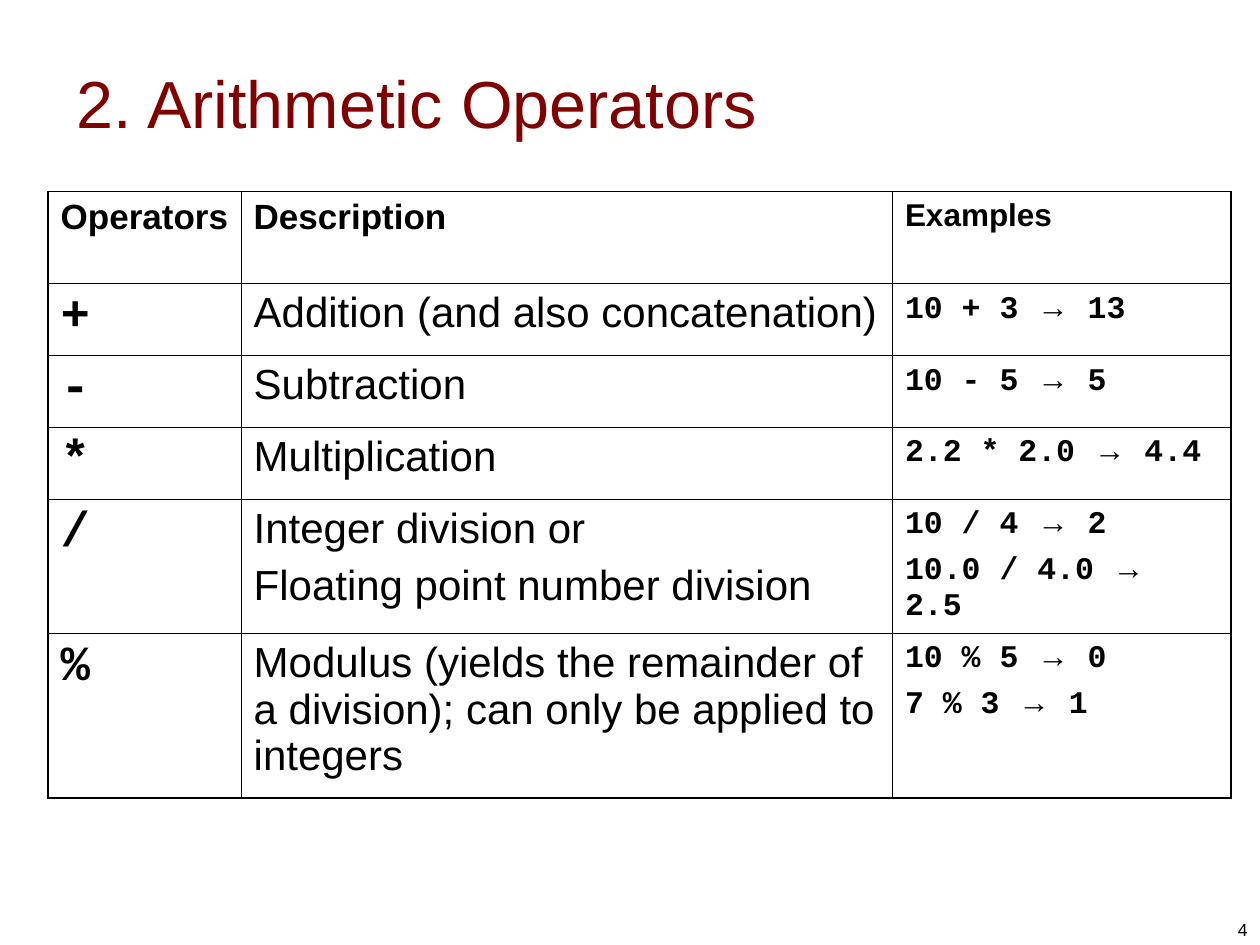
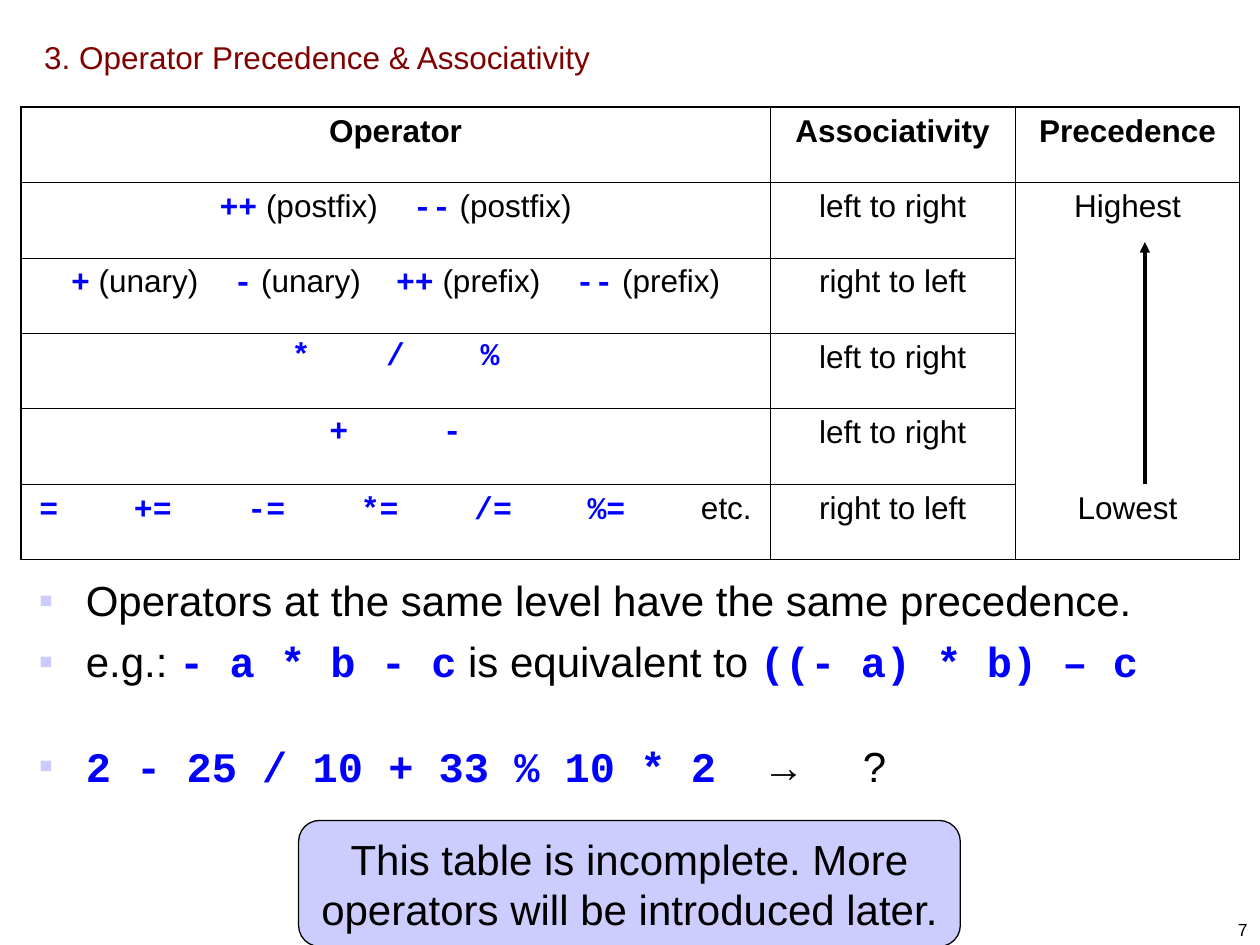
from dataclasses import dataclass

from pptx import Presentation
from pptx.dml.color import RGBColor
from pptx.enum.shapes import MSO_CONNECTOR, MSO_SHAPE
from pptx.enum.text import MSO_ANCHOR as Anchor, PP_ALIGN as Align
from pptx.oxml.ns import qn
from pptx.util import Cm, Pt
from lxml.etree import SubElement

BLACK = RGBColor(0x00, 0x00, 0x00)
MAROON = RGBColor(0x80, 0x00, 0x00)
BLUE = RGBColor(0x00, 0x00, 0xFF)
LAVENDER = RGBColor(0xCC, 0xCC, 0xFF)
SANS, MONO = "Arial", "Courier New"
SPACE_WIDTH = {SANS: 0.278, MONO: 0.6}  # share of the font size
OUTER, INNER = Pt(1.08), Pt(0.45)


@dataclass
class Piece:
    """A run that departs from its paragraph's font."""
    text: str
    font: str = MONO
    bold: bool = True
    color: RGBColor = BLUE
    spaces: int = 1  # for a gap: its width in ordinary spaces


def gap(spaces, font=SANS):
    return Piece(" ", font, False, BLACK, spaces)


def spread(operators, spaces):
    """Operators in code style with an equal gap between them."""
    pieces = [Piece(operators[0])]
    for operator in operators[1:]:
        pieces += [gap(spaces, MONO), Piece(operator)]
    return pieces


@dataclass
class Line:
    """One paragraph: its pieces and its style."""
    pieces: list
    size: float = 18
    bold: bool = False
    font: str = SANS
    color: RGBColor = BLACK
    align: Align = Align.LEFT
    before: float = 0
    bullet: bool = False


class Deck:
    def __init__(self):
        self.presentation = Presentation()
        self.presentation.slide_width = Cm(25.4)
        self.presentation.slide_height = Cm(19.05)
        self.slide = None

    def new_slide(self, title, title_box, title_size, number):
        self.slide = self.presentation.slides.add_slide(
            self.presentation.slide_layouts[6])
        self.text(title_box, [Line([title], title_size, color=MAROON)], Anchor.MIDDLE)
        self.text((19.48, 17.81, 5.92, 1.27),
                  [Line([number], 10, align=Align.RIGHT)], Anchor.BOTTOM)

    def text(self, box, lines, anchor=Anchor.TOP):
        shape = self.slide.shapes.add_textbox(*map(Cm, box))
        self.fill_frame(shape.text_frame, lines)
        shape.text_frame.vertical_anchor = anchor

    def callout(self, box, line):
        shape = self.slide.shapes.add_shape(MSO_SHAPE.ROUNDED_RECTANGLE, *map(Cm, box))
        shape.shadow.inherit = False
        shape.fill.solid()
        shape.fill.fore_color.rgb = LAVENDER
        shape.line.color.rgb = BLACK
        shape.line.width = Pt(0.75)
        self.fill_frame(shape.text_frame, [line])
        shape.text_frame.vertical_anchor = Anchor.MIDDLE

    def arrow(self, *ends):
        connector = self.slide.shapes.add_connector(
            MSO_CONNECTOR.STRAIGHT, *map(Cm, ends))
        connector.line.color.rgb = BLACK
        connector.line.width = Pt(2)
        SubElement(connector.line._get_or_add_ln(), qn("a:tailEnd"), type="triangle")
        SubElement(connector._element.spPr, qn("a:effectLst"))

    def table(self, left, top, widths, heights, rows, open_edges=()):
        """Draw a grid; open_edges holds the (row, column, side) without a line."""
        table = self.slide.shapes.add_table(
            len(heights), len(widths), Cm(left), Cm(top),
            Cm(sum(widths)), Cm(sum(heights))).table
        table.first_row = table.horz_banding = False
        for column, width in zip(table.columns, widths):
            column.width = Cm(width)
        for row, height in zip(table.rows, heights):
            row.height = Cm(height)
        for r, row in enumerate(rows):
            for c, lines in enumerate(row):
                cell = table.cell(r, c)
                if lines:
                    self.fill_frame(cell.text_frame, lines)
                on_edge = {"L": c == 0, "R": c == len(widths) - 1,
                           "T": r == 0, "B": r == len(heights) - 1}
                for side, outer in on_edge.items():
                    self.border(cell, side, OUTER if outer else INNER,
                                (r, c, side) not in open_edges)
                cell.fill.background()
        return table

    @staticmethod
    def border(cell, side, width, visible):
        properties = cell._tc.get_or_add_tcPr()
        line = SubElement(properties, qn(f"a:ln{side}"), w=str(int(width)))
        if visible:
            fill = SubElement(line, qn("a:solidFill"))
            SubElement(fill, qn("a:srgbClr"), val=str(BLACK))
        else:
            SubElement(line, qn("a:noFill"))

    def fill_frame(self, frame, lines):
        frame.word_wrap = True
        for index, line in enumerate(lines):
            paragraph = frame.add_paragraph() if index else frame.paragraphs[0]
            if line.bullet:
                self.bullet(paragraph)
            paragraph.alignment = line.align
            paragraph.space_before = Pt(line.before)
            self.style(paragraph.font, line)
            paragraph.font.size = Pt(line.size)
            for piece in line.pieces:
                run = paragraph.add_run()
                if isinstance(piece, str):
                    run.text = piece
                    continue
                run.text = piece.text
                self.style(run.font, piece)
                if piece.spaces > 1:
                    extra = (piece.spaces - 1) * SPACE_WIDTH[piece.font] * line.size
                    run._r.get_or_add_rPr().set("spc", str(round(extra * 100)))

    @staticmethod
    def style(font, source):
        font.name = source.font
        font.bold = source.bold
        font.color.rgb = source.color

    @staticmethod
    def bullet(paragraph):
        properties = paragraph._p.get_or_add_pPr()
        properties.set("marL", str(Cm(0.95)))
        properties.set("indent", str(-Cm(0.95)))
        color = SubElement(properties, qn("a:buClr"))
        SubElement(color, qn("a:srgbClr"), val=str(LAVENDER))
        SubElement(properties, qn("a:buFont"), typeface=SANS)
        SubElement(properties, qn("a:buChar"), char="▪")


def arithmetic_slide(deck):
    deck.new_slide("2. Arithmetic Operators", (1.3, 0.46, 22.86, 3.18), 38, "4")
    operators = [
        ("+", ["Addition (and also concatenation)"], [("10 + 3", "13")]),
        ("-", ["Subtraction"], [("10 - 5", "5")]),
        ("*", ["Multiplication"], [("2.2 * 2.0", "4.4")]),
        ("/", ["Integer division or", "Floating point number division"],
         [("10 / 4", "2"), ("10.0 / 4.0", "2.5")]),
        ("%", ["Modulus (yields the remainder of a division); "
               "can only be applied to integers"],
         [("10 % 5", "0"), ("7 % 3", "1")]),
    ]
    rows = [[[Line(["Operators"], 20, True, before=5)],
             [Line(["Description"], 20, True, before=5)],
             [Line(["Examples"], 18, True, before=4.5)]]]
    arrow = Piece("→", SANS, color=BLACK)
    for symbol, descriptions, examples in operators:
        rows.append([
            [Line([symbol], 28, True, MONO, before=7)],
            [Line([description], 24, before=6) for description in descriptions],
            [Line([f"{expression} ", arrow, f" {value}"], 18, True, MONO, before=4.5)
             for expression, value in examples]])
    deck.table(0.97, 3.86, [3.89, 13.13, 6.83],
               [1.85, 1.45, 1.45, 1.45, 2.7, 3.32], rows)


def precedence_slide(deck):
    deck.new_slide("3. Operator Precedence & Associativity",
                   (0.64, 0.76, 14.73, 0.76), 18, "7")

    # Precedence table, its last column merged behind the arrow
    def centred(*pieces, bold=False):
        return [Line(pieces, bold=bold, align=Align.CENTER, before=4.5)]

    heads = ["Operator", "Associativity", "Precedence"]
    levels = [
        ([Piece("++"), " (postfix)", gap(4), Piece("--"), " (postfix)"],
         "left to right", "Highest"),
        ([Piece("+"), " (unary)", gap(4), Piece("-"), " (unary)", gap(4),
          Piece("++"), " (prefix)", gap(4), Piece("--"), " (prefix)"],
         "right to left", None),
        (spread(["*", "/", "%"], 4), "left to right", None),
        (spread(["+", "-"], 5), "left to right", None),
        (spread(["=", "+=", "-=", "*=", "/=", "%="], 4) + [gap(4, MONO), "etc."],
         "right to left", "Lowest"),
    ]
    rows = [[centred(head, bold=True) for head in heads]]
    rows += [[centred(*pieces), centred(order), rank and centred(rank)]
             for pieces, order, rank in levels]
    open_edges = {(r, 2, "B") for r in range(1, 5)} | {(r, 2, "T") for r in range(2, 6)}
    table = deck.table(0.43, 2.16, [15.09, 4.95, 4.52], [1.52] * 6, rows, open_edges)
    table.cell(2, 2).merge(table.cell(4, 2))

    # Remarks
    deck.text((0.53, 11.46, 24.64, 5.23), [
        Line(["Operators at the same level have the same precedence."],
             24, before=6, bullet=True),
        Line(["e.g.: ", Piece("- a * b - c"), " is equivalent to ",
              Piece("((- a) * b) – c")], 24, before=6, bullet=True),
        Line([Piece("2 - 25 / 10 + 33 % 10 * 2"), gap(4), "→", gap(5), "?"],
             24, before=31, bullet=True),
    ])

    # Arrow from lowest to highest, and the closing note
    deck.arrow(23.08, 9.75, 23.08, 4.88)
    deck.callout((6.02, 16.54, 13.34, 2.54), Line(
        ["This table is incomplete. More operators will be introduced later."],
        24, align=Align.CENTER))


def main():
    deck = Deck()
    arithmetic_slide(deck)
    precedence_slide(deck)
    deck.presentation.save("out.pptx")


if __name__ == "__main__":
    main()
